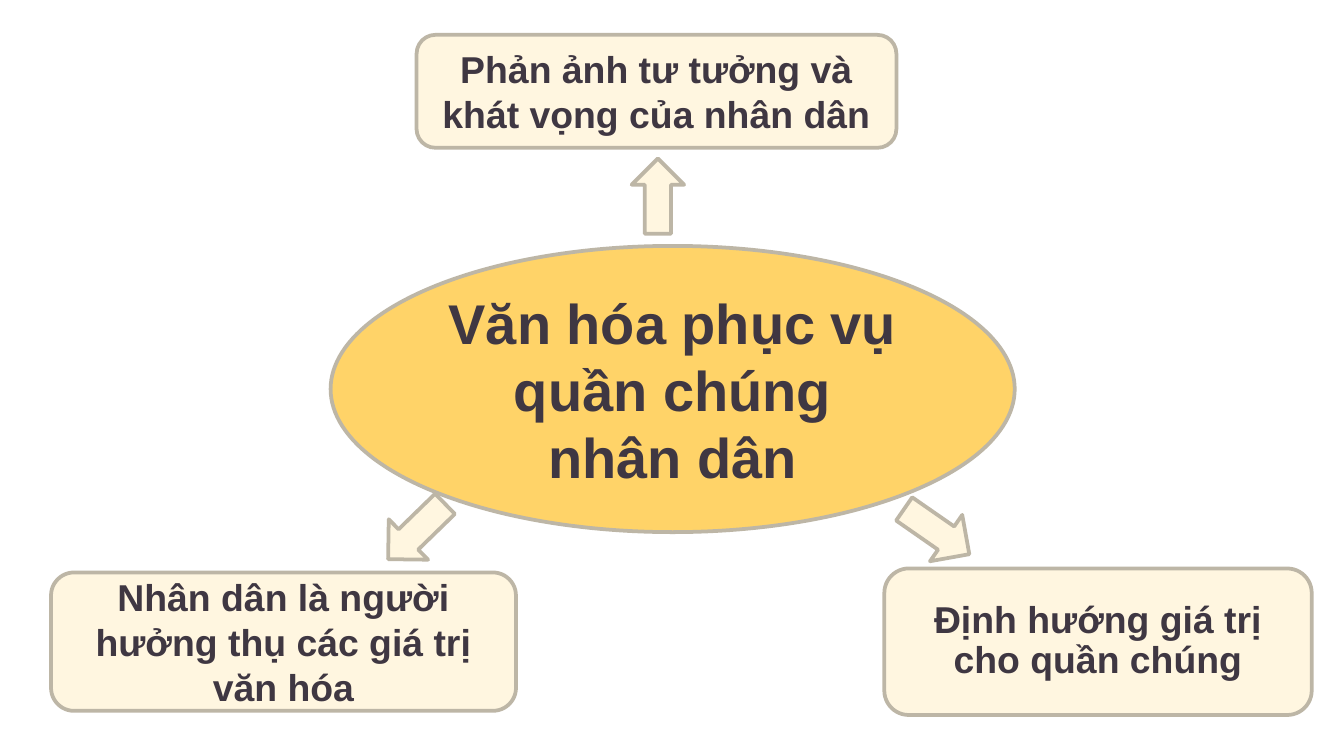
from dataclasses import dataclass

from pptx import Presentation
from pptx.dml.color import RGBColor
from pptx.enum.shapes import MSO_SHAPE
from pptx.enum.text import MSO_ANCHOR, PP_ALIGN
from pptx.shapes.autoshape import Shape
from pptx.slide import Slide
from pptx.util import Inches, Pt

COLORS = {"ink": "3F3742", "edge": "BDB6A6", "gold": "FFD368", "cream": "FFF6E0"}
FONT = "Arial"
WIDTH = 10
HEIGHT = WIDTH * 9 / 16


@dataclass
class Item:
    kind: MSO_SHAPE
    left: float
    top: float
    width: float
    height: float
    fill: str = "cream"
    turn: float = 0


@dataclass
class Label:
    text: str
    size: int = 20
    before: float = 0
    spacing: float = 1.0


OVAL, BOX = MSO_SHAPE.OVAL, MSO_SHAPE.ROUNDED_RECTANGLE
UP, DOWN = MSO_SHAPE.UP_ARROW, MSO_SHAPE.DOWN_ARROW

IDEAS = [
    (Item(OVAL, 2.46, 1.83, 5.09, 2.13, "gold"),
     Label("Văn hóa phục vụ quần chúng nhân dân", 30)),
    (Item(BOX, 6.58, 4.23, 3.18, 1.09),
     Label("Định hướng giá trị cho quần chúng", before=7.5, spacing=0.9)),
    (Item(BOX, 0.38, 4.26, 3.46, 1.03),
     Label("Nhân dân là người hưởng thụ các giá trị văn hóa")),
    (Item(BOX, 3.1, 0.26, 3.57, 0.84),
     Label("Phản ảnh tư tưởng và khát vọng của nhân dân")),
]
ARROWS = [
    Item(UP, 4.7, 1.18, 0.39, 0.56),
    Item(DOWN, 2.89, 3.66, 0.42, 0.59, turn=45.8),
    Item(DOWN, 6.76, 3.66, 0.42, 0.59, turn=304.8),
]


def color(name: str) -> RGBColor:
    return RGBColor.from_string(COLORS[name])


def draw(slide: Slide, item: Item) -> Shape:
    shape = slide.shapes.add_shape(
        item.kind, Inches(item.left), Inches(item.top),
        Inches(item.width), Inches(item.height))
    shape.rotation = item.turn
    shape.shadow.inherit = False
    shape.fill.solid()
    shape.fill.fore_color.rgb = color(item.fill)
    shape.line.color.rgb = color("edge")
    shape.line.width = Pt(2)
    return shape


def write(shape: Shape, label: Label) -> None:
    frame = shape.text_frame
    frame.word_wrap = True
    frame.vertical_anchor = MSO_ANCHOR.MIDDLE
    para = frame.paragraphs[0]
    para.alignment = PP_ALIGN.CENTER
    para.line_spacing = label.spacing
    para.space_before = Pt(label.before)
    para.space_after = Pt(4.5)
    run = para.add_run()
    run.text = label.text
    run.font.name = FONT
    run.font.size = Pt(label.size)
    run.font.bold = True
    run.font.color.rgb = color("ink")


def main() -> None:
    deck = Presentation()
    deck.slide_width, deck.slide_height = Inches(WIDTH), Inches(HEIGHT)
    slide = deck.slides.add_slide(deck.slide_layouts[6])
    for item, label in IDEAS:
        write(draw(slide, item), label)
    for arrow in ARROWS:
        draw(slide, arrow)
    deck.save("out.pptx")


if __name__ == "__main__":
    main()
